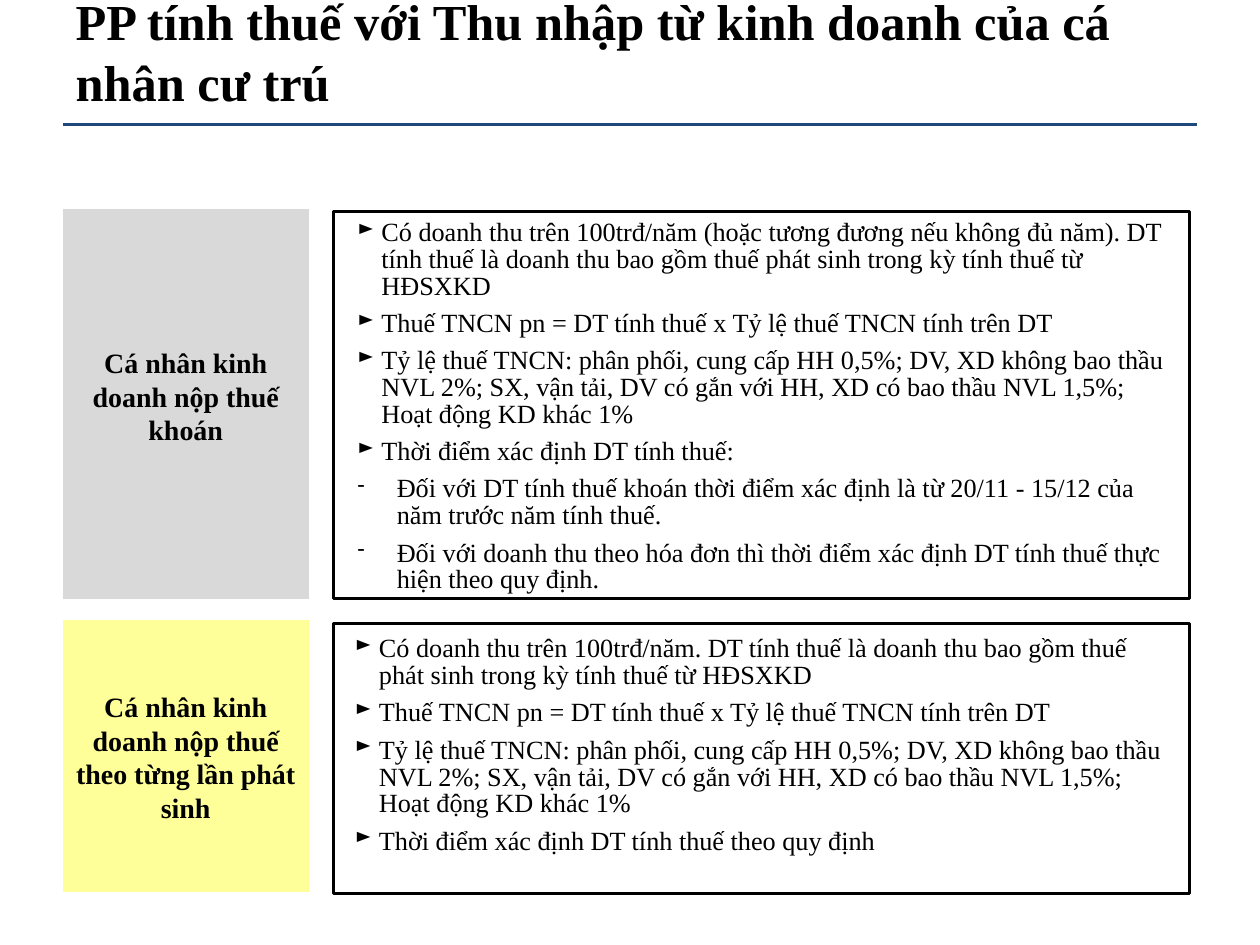
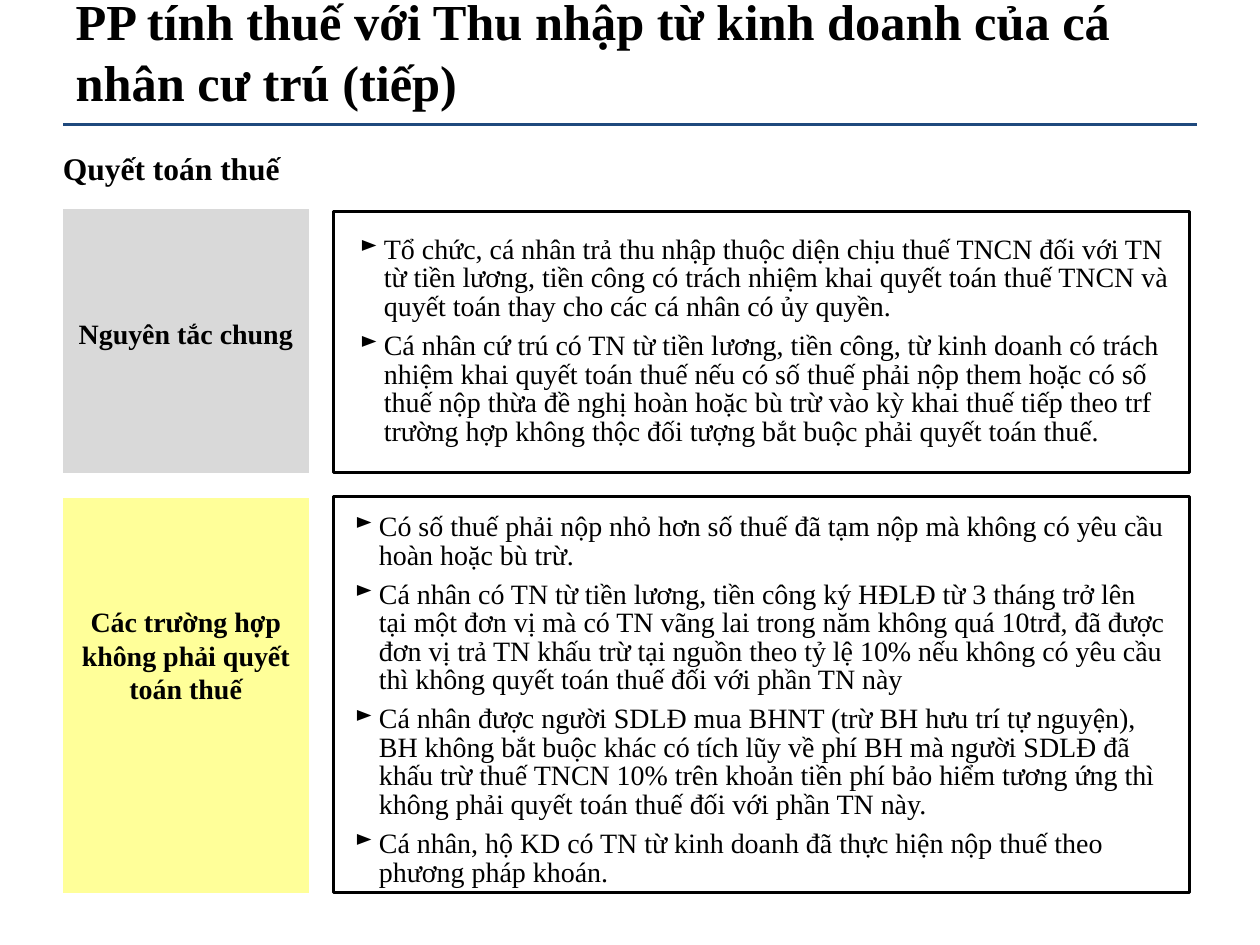
from dataclasses import dataclass

from lxml import etree
from pptx import Presentation
from pptx.dml.color import RGBColor
from pptx.enum.shapes import MSO_CONNECTOR, MSO_SHAPE
from pptx.enum.text import MSO_ANCHOR, MSO_AUTO_SIZE, PP_ALIGN
from pptx.oxml.ns import qn
from pptx.util import Cm, Pt

BLACK = RGBColor(0x00, 0x00, 0x00)
NAVY = RGBColor(0x1F, 0x49, 0x7D)
GREY = RGBColor(0xD9, 0xD9, 0xD9)
YELLOW = RGBColor(0xFF, 0xFF, 0x99)

PROCESS = MSO_SHAPE.FLOWCHART_PROCESS
STRAIGHT = MSO_CONNECTOR.STRAIGHT
TOP, MIDDLE = MSO_ANCHOR.TOP, MSO_ANCHOR.MIDDLE
GROW, FIXED = MSO_AUTO_SIZE.SHAPE_TO_FIT_TEXT, MSO_AUTO_SIZE.NONE
LEFT, CENTER = PP_ALIGN.LEFT, PP_ALIGN.CENTER

FONT = "Times New Roman"
EDGE, WIDE = 1.27, 22.86
ARROW, DASH = "►", "-"
INDENT = {ARROW: 0.48, DASH: 0.79}


@dataclass
class Box:
    left: float
    top: float
    width: float
    height: float

    def place(self) -> tuple:
        return Cm(self.left), Cm(self.top), Cm(self.width), Cm(self.height)


@dataclass
class Item:
    text: str
    mark: str = ARROW


@dataclass
class Topic:
    label: str
    fill: RGBColor
    drop: float
    tag: Box
    frame: Box
    body: Box
    size: int
    items: list[Item]


@dataclass
class Page:
    title: str
    topics: list[Topic]
    lead: str = ""


def tag(top: float, height: float) -> Box:
    return Box(EDGE, top, 4.95, height)


def frame(top: float, height: float) -> Box:
    return Box(6.73, top, 17.25, height)


def body(left: float, top: float, height: float) -> Box:
    return Box(left, top, 16.43, height)


TITLE = "PP tính thuế với Thu nhập từ kinh doanh của cá nhân cư trú"
RATES = [
    Item("Thuế TNCN pn = DT tính thuế x Tỷ lệ thuế TNCN tính trên DT"),
    Item("Tỷ lệ thuế TNCN: phân phối, cung cấp HH 0,5%; DV, XD không bao thầu "
         "NVL 2%; SX, vận tải, DV có gắn với HH, XD có bao thầu NVL 1,5%; "
         "Hoạt động KD khác 1%"),
]

PAGES = [
    Page(TITLE, [
        Topic("Cá nhân kinh doanh nộp thuế khoán", GREY, 2.75,
              tag(4.22, 7.85), frame(4.27, 7.8), body(7.21, 4.34, 7.72), 15, [
                  Item("Có doanh thu trên 100trđ/năm (hoặc tương đương nếu "
                       "không đủ năm). DT tính thuế là doanh thu bao gồm thuế "
                       "phát sinh trong kỳ tính thuế từ HĐSXKD"),
                  *RATES,
                  Item("Thời điểm xác định DT tính thuế:"),
                  Item("Đối với DT tính thuế khoán thời điểm xác định là từ "
                       "20/11 - 15/12 của năm trước năm tính thuế.", DASH),
                  Item("Đối với doanh thu theo hóa đơn thì thời điểm xác định "
                       "DT tính thuế thực hiện theo quy định.", DASH),
              ]),
        Topic("Cá nhân kinh doanh nộp thuế theo từng lần phát sinh", YELLOW, 1.4,
              tag(12.5, 5.49), frame(12.57, 5.44), body(7.16, 12.73, 4.55), 15, [
                  Item("Có doanh thu trên 100trđ/năm. DT tính thuế là doanh thu "
                       "bao gồm thuế phát sinh trong kỳ tính thuế từ HĐSXKD"),
                  *RATES,
                  Item("Thời điểm xác định DT tính thuế theo quy định"),
              ]),
    ]),
    Page(TITLE + " (tiếp)", [
        Topic("Nguyên tắc chung", GREY, 2.16,
              tag(4.22, 5.31), frame(4.27, 5.26), body(7.26, 4.67, 4.39), 16, [
                  Item("Tổ chức, cá nhân trả thu nhập thuộc diện chịu thuế TNCN "
                       "đối với TN từ tiền lương, tiền công có trách nhiệm khai "
                       "quyết toán thuế TNCN và quyết toán thay cho các cá nhân "
                       "có ủy quyền."),
                  Item("Cá nhân cứ trú có TN từ tiền lương, tiền công, từ kinh "
                       "doanh có trách nhiệm khai quyết toán thuế nếu có số thuế "
                       "phải nộp them hoặc có số thuế nộp thừa đề nghị hoàn hoặc "
                       "bù trừ vào kỳ khai thuế tiếp theo trf trường hợp không "
                       "thộc đối tượng bắt buộc phải quyết toán thuế."),
              ]),
        Topic("Các trường hợp không phải quyết toán thuế", YELLOW, 2.16,
              tag(10.03, 7.98), frame(10.01, 7.98), body(7.16, 10.26, 7.72), 16, [
                  Item("Có số thuế phải nộp nhỏ hơn số thuế đã tạm nộp mà không "
                       "có yêu cầu hoàn hoặc bù trừ."),
                  Item("Cá nhân có TN từ tiền lương, tiền công ký HĐLĐ từ 3 tháng "
                       "trở lên tại một đơn vị mà có TN vãng lai trong năm không "
                       "quá 10trđ, đã được đơn vị trả TN khấu trừ tại nguồn theo "
                       "tỷ lệ 10% nếu không có yêu cầu thì không quyết toán thuế "
                       "đối với phần TN này"),
                  Item("Cá nhân được người SDLĐ mua BHNT (trừ BH hưu trí tự "
                       "nguyện), BH không bắt buộc khác có tích lũy về phí BH mà "
                       "người SDLĐ đã khấu trừ thuế TNCN 10% trên khoản tiền phí "
                       "bảo hiểm tương ứng thì không phải quyết toán thuế đối với "
                       "phần TN này."),
                  Item("Cá nhân, hộ KD có TN từ kinh doanh đã thực hiện nộp thuế "
                       "theo phương pháp khoán."),
              ]),
    ], "Quyết toán thuế"),
]


def write(para, text: str, size: float, bold: bool = False) -> None:
    run = para.add_run()
    run.text = text
    run.font.name = FONT
    run.font.size = Pt(size)
    run.font.bold = bold
    run.font.color.rgb = BLACK


def mark(para, sign: str) -> None:
    props = para._p.get_or_add_pPr()
    gap = Cm(INDENT[sign])
    props.set("marL", str(gap))
    props.set("indent", str(-gap))
    etree.SubElement(props, qn("a:buSzPct")).set("val", "80000")
    etree.SubElement(props, qn("a:buChar")).set("char", sign)


def head(slide, text: str) -> None:
    title = slide.shapes.title
    title.left, title.top, title.width, title.height = Box(EDGE, 0.2, WIDE, 1.65).place()
    text_frame = title.text_frame
    text_frame.auto_size = FIXED
    text_frame.vertical_anchor = MIDDLE
    para = text_frame.paragraphs[0]
    para.alignment = LEFT
    write(para, text, 28.8, True)

    rule = slide.shapes.add_connector(
        STRAIGHT, Cm(EDGE), Cm(2.51), Cm(EDGE + WIDE), Cm(2.51))
    rule.line.color.rgb = NAVY
    rule.line.width = Pt(1.5)
    etree.SubElement(rule._element.spPr, qn("a:effectLst"))


def block(slide, box: Box):
    shape = slide.shapes.add_shape(PROCESS, *box.place())
    shape.shadow.inherit = False
    return shape


def label(slide, topic: Topic) -> None:
    shape = block(slide, topic.tag)
    shape.fill.solid()
    shape.fill.fore_color.rgb = topic.fill
    shape.line.fill.background()
    text_frame = shape.text_frame
    text_frame.word_wrap = True
    text_frame.vertical_anchor = TOP
    text_frame.margin_top = Cm(topic.drop)
    para = text_frame.paragraphs[0]
    para.alignment = CENTER
    write(para, topic.label, 16, True)


def border(slide, box: Box) -> None:
    shape = block(slide, box)
    shape.fill.background()
    shape.line.color.rgb = BLACK
    shape.line.width = Pt(1.5)


def prose(slide, box: Box, items: list[Item], size: float, bold: bool = False) -> None:
    text_frame = slide.shapes.add_textbox(*box.place()).text_frame
    text_frame.word_wrap = True
    text_frame.auto_size = GROW
    text_frame.margin_left = text_frame.margin_right = text_frame.margin_bottom = 0
    text_frame.margin_top = Cm(0.1)
    for index, item in enumerate(items):
        para = text_frame.add_paragraph() if index else text_frame.paragraphs[0]
        para.line_spacing = 0.85
        para.space_after = Pt(6)
        if item.mark:
            mark(para, item.mark)
        write(para, item.text, size, bold)


def main() -> None:
    deck = Presentation()
    deck.slide_width, deck.slide_height = Cm(25.4), Cm(19.05)
    for page in PAGES:
        slide = deck.slides.add_slide(deck.slide_layouts[5])
        head(slide, page.title)
        if page.lead:
            prose(slide, Box(EDGE, 3.02, WIDE, 0.76), [Item(page.lead, "")], 18, True)
        for topic in page.topics:
            label(slide, topic)
            border(slide, topic.frame)
            prose(slide, topic.body, topic.items, topic.size)
    deck.save("out.pptx")


if __name__ == "__main__":
    main()
